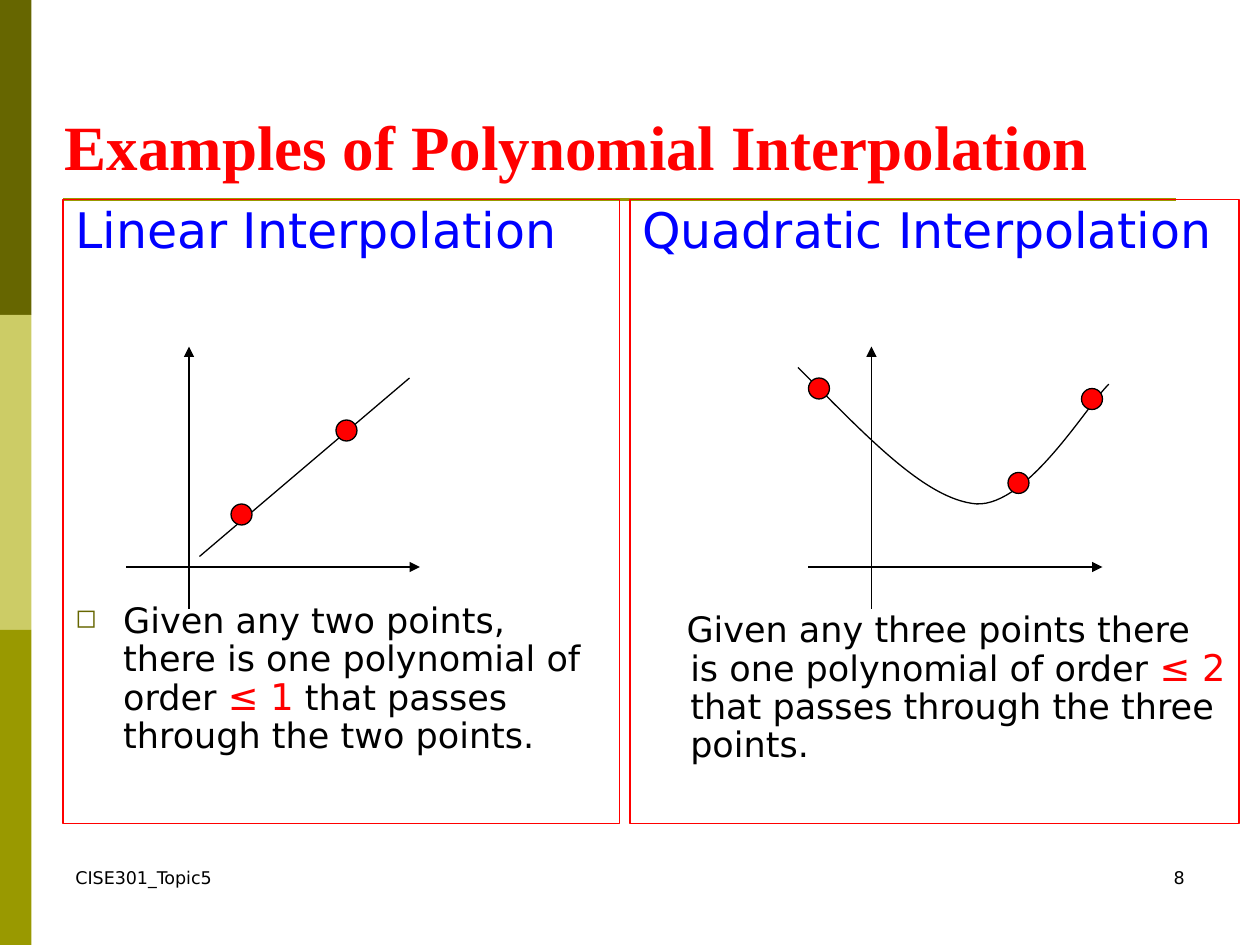
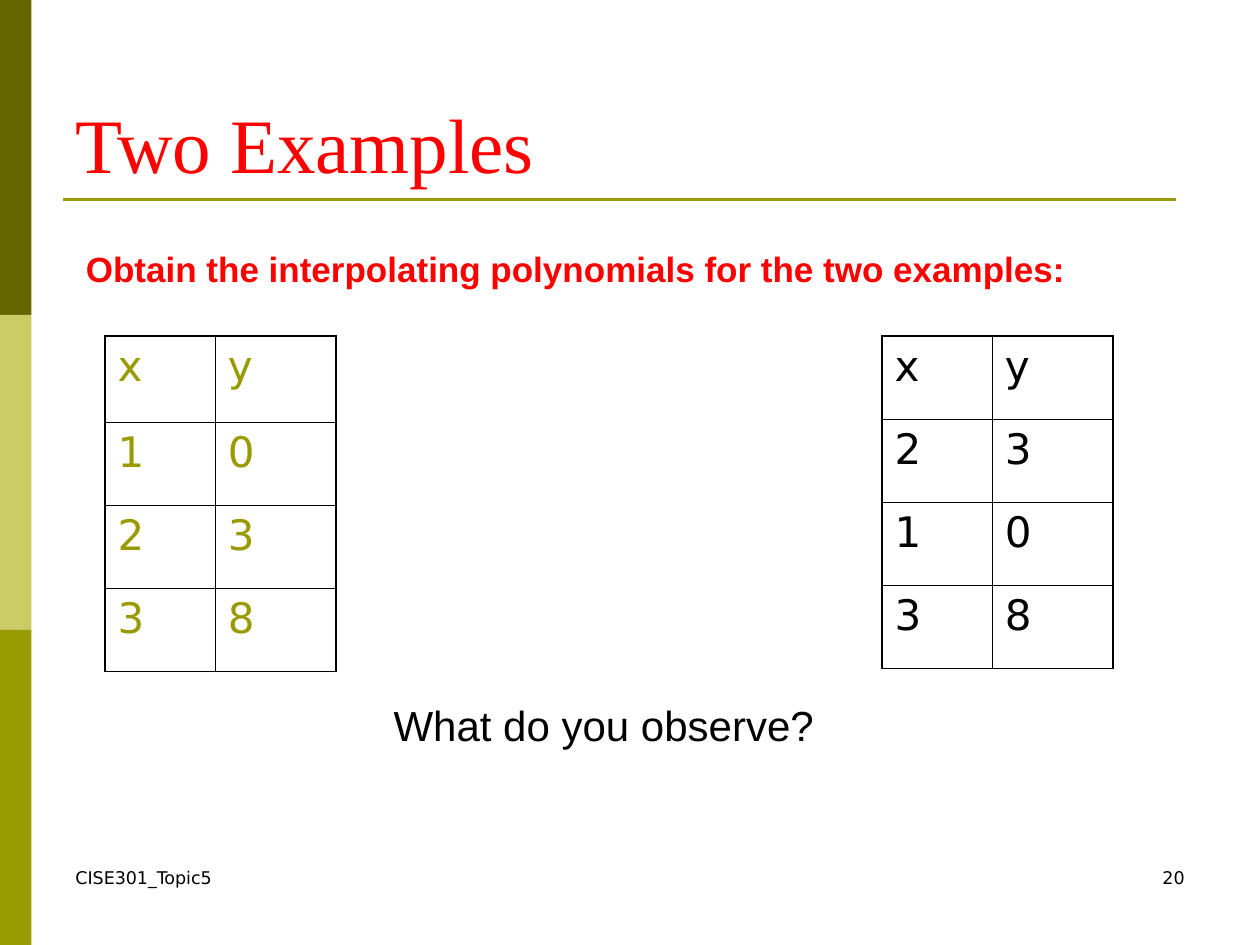
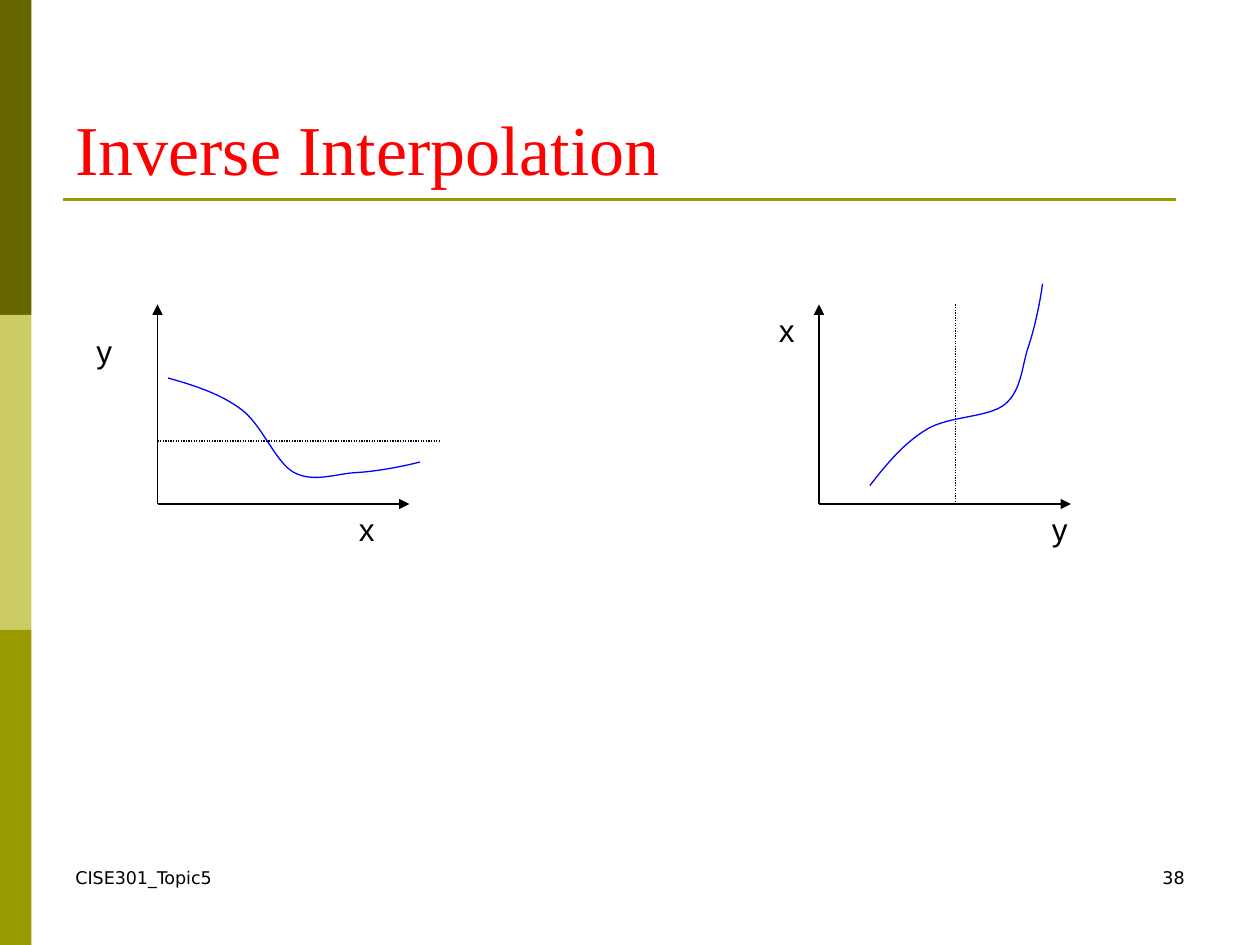
import pptx
import pptx.dml.color
import pptx.enum.dml
import pptx.enum.shapes
import pptx.enum.text
import pptx.oxml
import pptx.oxml.ns
import pptx.util
from lxml import etree

COLUMNS, ROWS = 120, 90
RED, BLUE, BLACK = "FF0000", "0000FF", "000000"
DARK_OLIVE, PALE_OLIVE, OLIVE = "666600", "CCCC66", "999900"
SANS, SERIF, ARIAL = "DejaVu Sans", "Times New Roman", "Arial"
HAIRLINE = 0.75

Align = pptx.enum.text.PP_ALIGN
Anchor = pptx.enum.text.MSO_ANCHOR
Preset = pptx.enum.shapes.MSO_SHAPE
qn = pptx.oxml.ns.qn


def rgb(code):
    return pptx.dml.color.RGBColor.from_string(code)


def add_xml(parent, tag, **attributes):
    return etree.SubElement(parent, qn(tag), attributes)


def set_font(font, size, color, name=SANS, bold=False):
    font.size, font.name, font.bold = pptx.util.Pt(size), name, bold
    font.color.rgb = rgb(color)


class Deck:
    """Places elements on the current slide of a 120 by 90 grid."""

    def __init__(self):
        self.show = pptx.Presentation()
        self.show.slide_width = pptx.util.Inches(10)
        self.show.slide_height = pptx.util.Inches(7.5)
        self.shapes = None

    def x(self, columns):
        return round(self.show.slide_width * columns / COLUMNS)

    def y(self, rows):
        return round(self.show.slide_height * rows / ROWS)

    def box(self, left, top, width, height):
        return self.x(left), self.y(top), self.x(width), self.y(height)

    def slide(self, title, number, size, bold=False, at=(6, 3.6)):
        """Starts a slide with the side bands, title rule, footer and title."""
        self.shapes = self.show.slides.add_slide(self.show.slide_layouts[6]).shapes
        for step, color in enumerate((DARK_OLIVE, PALE_OLIVE, OLIVE)):
            self.shape(Preset.RECTANGLE, (0, 30 * step, 3, 30), fill=color)
        self.line((6, 19), (112, 19), OLIVE, 1.5)
        self.text("CISE301_Topic5", (6, 82, 28, 6), 10)
        self.text(str(number), (86, 82, 28, 6), 10, align=Align.RIGHT)
        self.text(title, (*at, 108, 15), size, RED, SERIF, bold, anchor=Anchor.BOTTOM)

    def paint(self, shape, fill=None, line=None):
        shape.shadow.inherit = False
        if fill:
            shape.fill.solid()
            shape.fill.fore_color.rgb = rgb(fill)
        else:
            shape.fill.background()
        if line:
            shape.line.color.rgb = rgb(line)
            shape.line.width = pptx.util.Pt(HAIRLINE)
        else:
            shape.line.fill.background()

    def shape(self, preset, box, fill=None, line=None):
        shape = self.shapes.add_shape(preset, *self.box(*box))
        self.paint(shape, fill, line)
        return shape

    def text(self, words, box, size, color=BLACK, font=SANS, bold=False,
             align=Align.LEFT, anchor=Anchor.TOP):
        frame = self.shapes.add_textbox(*self.box(*box)).text_frame
        frame.word_wrap, frame.vertical_anchor = True, anchor
        paragraph = frame.paragraphs[0]
        paragraph.text, paragraph.alignment = words, align
        set_font(paragraph.font, size, color, font, bold)

    def line(self, start, end, color=BLACK, width=HAIRLINE, arrow=False, dotted=False):
        connector = self.shapes.add_connector(
            pptx.enum.shapes.MSO_CONNECTOR.STRAIGHT,
            self.x(start[0]), self.y(start[1]), self.x(end[0]), self.y(end[1]))
        connector.line.color.rgb = rgb(color)
        connector.line.width = pptx.util.Pt(width)
        if dotted:
            connector.line.dash_style = pptx.enum.dml.MSO_LINE.ROUND_DOT
        properties = connector.element.spPr
        if arrow:
            add_xml(properties.find(qn("a:ln")), "a:tailEnd", type="triangle")
        add_xml(properties, "a:effectLst")

    def axes(self, origin, right, up, left=0, down=0):
        x, y = origin
        self.line((x, y + down), (x, y - up), arrow=True)
        self.line((x - left, y), (x + right, y), arrow=True)

    def curve(self, points, color, shift=(0, 0)):
        """Draws Bezier pieces: a start, then two controls and an end for each."""
        start, *others = [(self.x(x + shift[0]), self.y(y + shift[1])) for x, y in points]
        builder = self.shapes.build_freeform(*start)
        builder.add_line_segments(others, close=False)
        shape = builder.convert_to_shape()
        self.paint(shape, line=color)
        outline = next(shape.element.iter(qn("a:path")))
        segments = outline.findall(qn("a:lnTo"))
        for first in range(0, len(segments), 3):
            piece = add_xml(outline, "a:cubicBezTo")
            for segment in segments[first:first + 3]:
                piece.append(segment[0])
                outline.remove(segment)
        return shape

    def dots(self, centres):
        for x, y in centres:
            self.shape(Preset.OVAL, (x - 1, y - 1, 2, 2), RED, BLACK)

    def panel(self, box, heading, statement, gap, indent, bullet=None):
        """Frames a heading and a statement whose middle part is accented."""
        frame = self.shape(Preset.RECTANGLE, box, line=RED).text_frame
        frame.word_wrap, frame.vertical_anchor = True, Anchor.TOP
        top, body = frame.paragraphs[0], frame.add_paragraph()
        top.text = heading
        for part in statement:
            body.add_run().text = part
        for paragraph in (top, body):
            paragraph.alignment, paragraph.line_spacing = Align.LEFT, 0.9
        body.space_before = pptx.util.Pt(gap)
        layout = body._p.get_or_add_pPr()
        layout.set("marL", str(pptx.util.Inches(0.38)))
        layout.set("indent", str(pptx.util.Inches(indent)))
        if bullet:
            add_xml(add_xml(layout, "a:buClr"), "a:srgbClr", val=DARK_OLIVE)
            add_xml(layout, "a:buSzPct", val="75000")
            add_xml(layout, "a:buChar", char=bullet)
        set_font(top.font, 28, BLUE)
        set_font(body.font, 20, BLACK)
        set_font(body.runs[1].font, 21, RED)

    def table(self, at, rows, widths, heights, color):
        table = self.shapes.add_table(
            len(rows), len(widths), *self.box(*at, sum(widths), sum(heights))).table
        table.first_row = table.horz_banding = False
        for column, width in zip(table.columns, widths):
            column.width = self.x(width)
        for row, height in zip(table.rows, heights):
            row.height = self.y(height)
        last_row, last_column = len(rows) - 1, len(widths) - 1
        for r, values in enumerate(rows):
            for c, value in enumerate(values):
                cell = table.cell(r, c)
                cell.fill.background()
                paragraph = cell.text_frame.paragraphs[0]
                paragraph.text = value
                set_font(paragraph.font, 24, color)
                self.borders(cell, L=c == 0, R=c == last_column, T=r == 0, B=r == last_row)

    def borders(self, cell, **outer_sides):
        properties = cell._tc.get_or_add_tcPr()
        for place, (side, outer) in enumerate(outer_sides.items()):
            width = str(pptx.util.Pt(1.08 if outer else 0.45))
            border = add_xml(properties, f"a:ln{side}", w=width)
            add_xml(add_xml(border, "a:solidFill"), "a:srgbClr", val=BLACK)
            properties.insert(place, border)


def polynomial_examples(deck):
    deck.slide("Examples of Polynomial Interpolation", 8, 36, bold=True, at=(5, 3))
    deck.panel((6, 19, 53, 59.4), "Linear Interpolation",
               ("Given any two points, there is one polynomial of order ", "≤ 1",
                " that passes through the two points."), 197, -0.38, "◻")
    deck.panel((60, 19, 58, 59.4), "Quadratic Interpolation",
               ("Given any three points there is one polynomial of order ", "≤ 2",
                " that passes through the three points."), 202, -0.03)
    for origin in ((18, 54), (83, 54)):
        deck.axes(origin, right=22, up=21, left=6, down=4)
    deck.line((19, 53), (39, 36))
    deck.curve([(105.6, 36.6), (103.6, 38.5), (97.9, 48.2), (93, 48),
                (88.1, 47.6), (82.4, 41.4), (76, 35)], BLACK)
    deck.dots([(23, 49), (33, 41), (78, 37), (97, 46), (104, 38)])


def two_examples(deck):
    deck.slide("Two Examples", 20, 44)
    deck.text("Obtain the interpolating polynomials for the two examples:",
              (7, 23, 101, 5.3), 20, RED, ARIAL, bold=True)
    widths, row = (10.5, 11.5), 7.92
    deck.table((10, 32), ("xy", "10", "23", "38"), widths, (8.2, row, row, row), OLIVE)
    deck.table((84, 32), ("xy", "23", "10", "38"), widths, [row] * 4, BLACK)
    deck.text("What do you observe?", (14, 66, 87, 6), 24, font=ARIAL, align=Align.CENTER)


def inverse_interpolation(deck):
    deck.slide("Inverse Interpolation", 38, 40)
    for origin in ((15, 48), (78, 48)):
        deck.axes(origin, right=24, up=19)
    function = [(16, 36), (18.5, 36.7), (21, 37.5), (23, 39),
                (25, 40.5), (26.2, 44), (28, 45),
                (29.9, 46), (32, 45.1), (34, 45),
                (36, 44.9), (38.9, 44.3), (40, 44)]
    deck.curve(function, BLUE)
    inverse = deck.curve(function, BLUE, shift=(64, -4))
    inverse.rotation = 292.1
    deck.line((15, 42), (42, 42), dotted=True)
    deck.line((91, 29), (91, 48), dotted=True)
    for name, left, top in (("x", 33, 48), ("y", 8, 31), ("y", 99, 48), ("x", 73, 29)):
        deck.text(name, (left, top, 6, 4.8), 18, font=ARIAL)


def main():
    deck = Deck()
    polynomial_examples(deck)
    two_examples(deck)
    inverse_interpolation(deck)
    deck.show.save("out.pptx")


if __name__ == "__main__":
    main()
